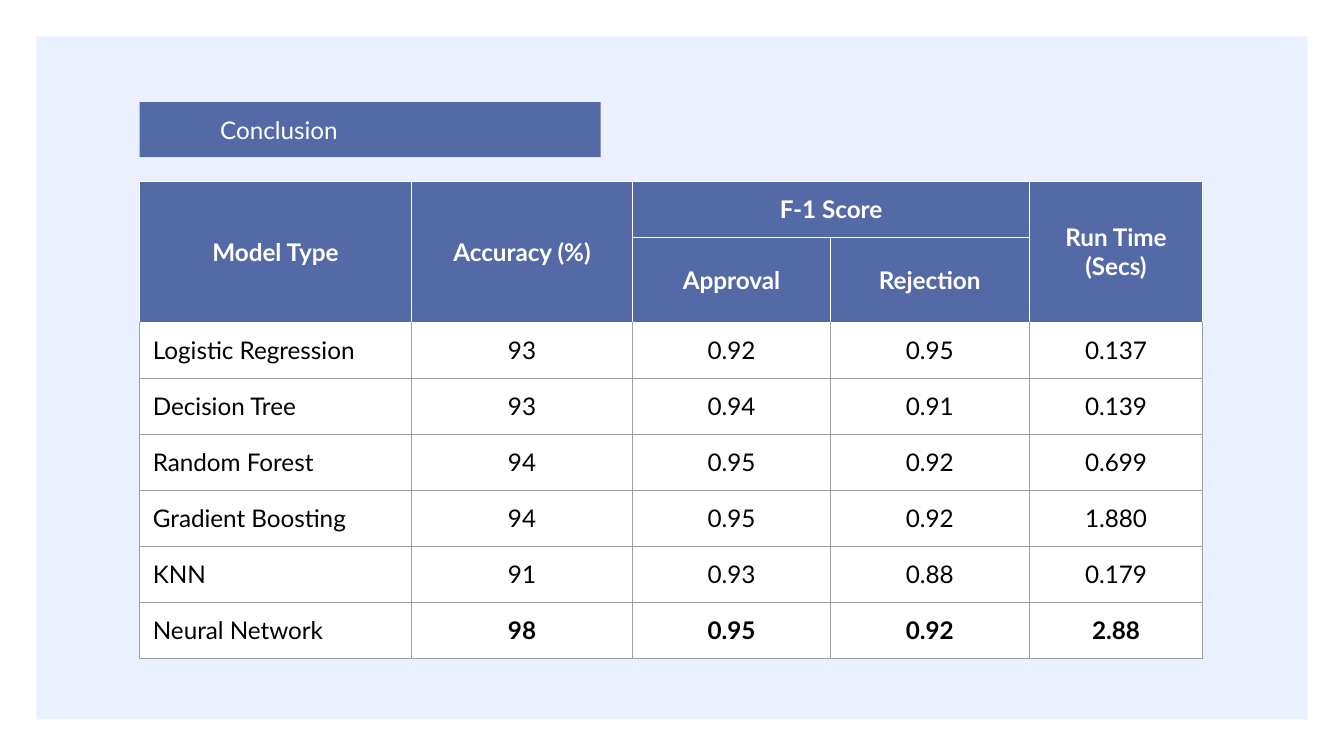
from lxml.etree import SubElement
from pptx import Presentation
from pptx.dml.color import RGBColor
from pptx.enum.shapes import MSO_SHAPE
from pptx.enum.text import MSO_ANCHOR, MSO_AUTO_SIZE, PP_ALIGN
from pptx.oxml.ns import qn
from pptx.util import Cm, Pt

TITLE = "Conclusion"
HEADER = [
    ["Model Type", "Accuracy (%)", "F-1 Score", "", "Run Time (Secs)"],
    ["", "", "Approval", "Rejection", ""],
]
RESULTS = [
    ["Logistic Regression", "93", "0.92", "0.95", "0.137"],
    ["Decision Tree", "93", "0.94", "0.91", "0.139"],
    ["Random Forest", "94", "0.95", "0.92", "0.699"],
    ["Gradient Boosting", "94", "0.95", "0.92", "1.880"],
    ["KNN", "91", "0.93", "0.88", "0.179"],
    ["Neural Network", "98", "0.95", "0.92", "2.88"],
]
HEADER_MERGES = [((0, 0), (1, 0)), ((0, 1), (1, 1)), ((0, 2), (0, 3)), ((0, 4), (1, 4))]
BEST_ROW = len(HEADER) + len(RESULTS) - 1

BLUE = RGBColor(0x53, 0x6A, 0xA6)
PALE_BLUE = RGBColor(0xEB, 0xF0, 0xFF)
GREY = RGBColor(0x9E, 0x9E, 0x9E)
WHITE = RGBColor(0xFF, 0xFF, 0xFF)
BLACK = RGBColor(0, 0, 0)

FONT, SIZE = "Lato", Pt(13)
SLIDE_WIDTH, SLIDE_HEIGHT = Cm(25.4), Cm(14.29)
PANEL_MARGIN = Cm(0.69)
LEFT = Cm(2.64)
INSET = Cm(0.25)
COLUMN_WIDTHS = [Cm(5.13), Cm(4.19), Cm(3.73), Cm(3.76), Cm(3.28)]
ROW_HEIGHT = Cm(1.06)


def format_text(paragraph, color, bold, align):
    paragraph.alignment = align
    for run in paragraph.runs:
        run.font.name, run.font.size = FONT, SIZE
        run.font.bold = bold
        run.font.color.rgb = color


def set_insets(box):
    box.margin_left = box.margin_right = box.margin_top = box.margin_bottom = INSET


def set_borders(cell, colors):
    """Draw the left, right, top and bottom borders in the given colours."""
    properties = cell._tc.get_or_add_tcPr()
    for side, color in zip("LRTB", colors):
        line = SubElement(properties, qn(f"a:ln{side}"), w=str(Pt(0.75)))
        fill = SubElement(line, qn("a:solidFill"))
        SubElement(fill, qn("a:srgbClr"), val=str(color))


def add_panel(slide):
    panel = slide.shapes.add_shape(
        MSO_SHAPE.RECTANGLE, PANEL_MARGIN, PANEL_MARGIN,
        SLIDE_WIDTH - 2 * PANEL_MARGIN, SLIDE_HEIGHT - 2 * PANEL_MARGIN)
    panel.shadow.inherit = False
    panel.fill.solid()
    panel.fill.fore_color.rgb = PALE_BLUE
    panel.line.fill.background()
    slide.shapes._spTree.insert(2, panel._element)  # behind the title


def fill_title(title):
    title.left, title.top, title.width, title.height = LEFT, Cm(1.93), Cm(8.71), Cm(1.04)
    title.fill.solid()
    title.fill.fore_color.rgb = BLUE
    frame = title.text_frame
    frame.text = TITLE
    frame.auto_size = MSO_AUTO_SIZE.NONE
    frame.vertical_anchor = MSO_ANCHOR.MIDDLE
    set_insets(frame)
    heading = frame.paragraphs[0]
    format_text(heading, WHITE, False, PP_ALIGN.LEFT)
    heading._p.get_or_add_pPr().set("marL", str(Cm(1.27)))


def add_results_table(slide):
    rows = HEADER + RESULTS
    table = slide.shapes.add_table(
        len(rows), len(COLUMN_WIDTHS), LEFT, Cm(3.43),
        sum(COLUMN_WIDTHS), ROW_HEIGHT * len(rows)).table
    table.first_row = table.horz_banding = False
    for column, width in zip(table.columns, COLUMN_WIDTHS):
        column.width = width
    for r, row in enumerate(rows):
        table.rows[r].height = ROW_HEIGHT
        is_header = r < len(HEADER)
        side = WHITE if is_header else GREY
        top = WHITE if r <= len(HEADER) else GREY
        for c, text in enumerate(row):
            cell = table.cell(r, c)
            cell.text = text
            set_insets(cell)
            cell.vertical_anchor = MSO_ANCHOR.MIDDLE if is_header else MSO_ANCHOR.TOP
            set_borders(cell, [side, side, top, side])
            cell.fill.solid()
            cell.fill.fore_color.rgb = BLUE if is_header else WHITE
            is_model_name = c == 0 and not is_header
            format_text(
                cell.text_frame.paragraphs[0],
                WHITE if is_header else BLACK,
                is_header or (r == BEST_ROW and not is_model_name),
                PP_ALIGN.LEFT if is_model_name else PP_ALIGN.CENTER)
    for first, last in HEADER_MERGES:
        table.cell(*first).merge(table.cell(*last))


def main():
    presentation = Presentation()
    presentation.slide_width, presentation.slide_height = SLIDE_WIDTH, SLIDE_HEIGHT
    slide = presentation.slides.add_slide(presentation.slide_layouts[5])
    add_panel(slide)
    fill_title(slide.shapes.title)
    add_results_table(slide)
    presentation.save("out.pptx")


if __name__ == "__main__":
    main()
